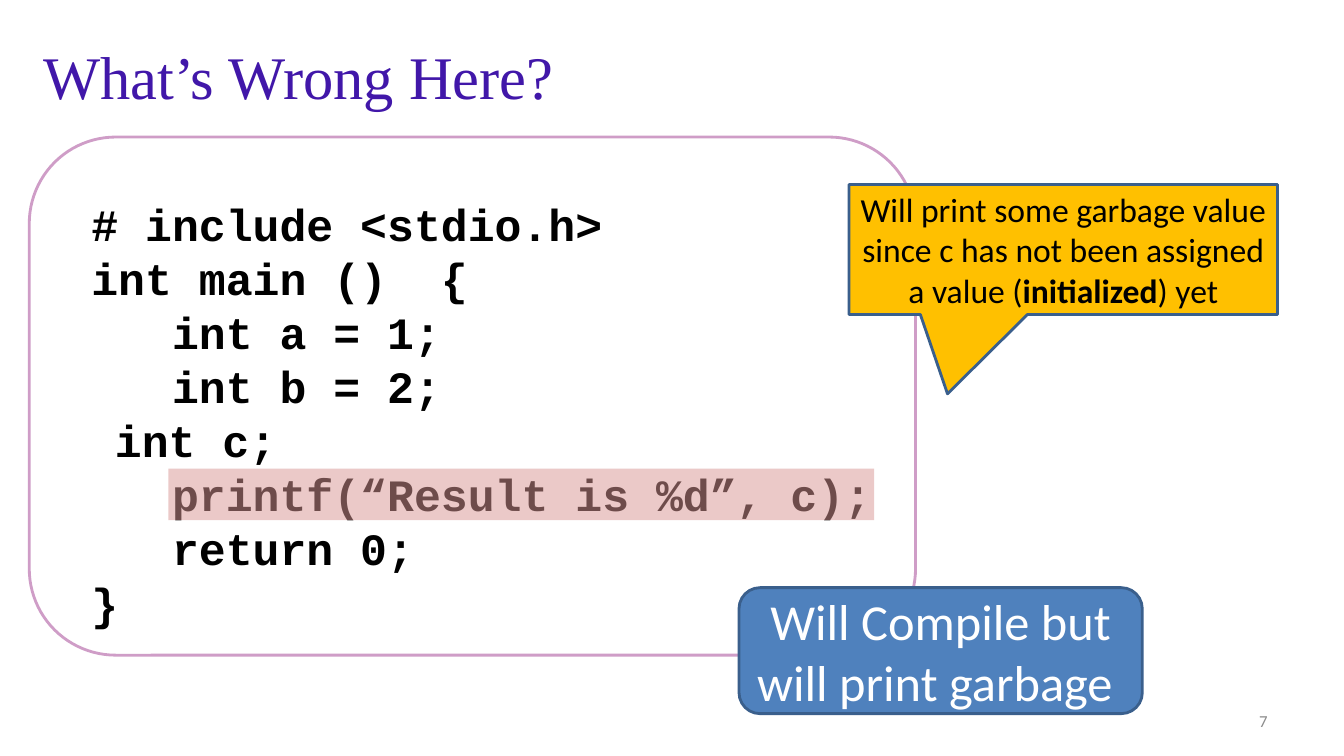
from pptx import Presentation
from pptx.dml.color import RGBColor
from pptx.enum.shapes import MSO_SHAPE
from pptx.enum.text import MSO_ANCHOR, PP_ALIGN
from pptx.oxml.ns import qn
from pptx.util import Inches, Pt
from lxml import etree

ROUND = MSO_SHAPE.ROUNDED_RECTANGLE
CALLOUT = MSO_SHAPE.RECTANGULAR_CALLOUT
RECT = MSO_SHAPE.RECTANGLE
LEFT, CENTER, RIGHT = PP_ALIGN.LEFT, PP_ALIGN.CENTER, PP_ALIGN.RIGHT
MIDDLE, TOP = MSO_ANCHOR.MIDDLE, MSO_ANCHOR.TOP

THEME = {
    "title": {"name": "Times New Roman", "size": Pt(43.2), "color": "4117A9"},
    "code": {"name": "Courier New", "size": Pt(32), "color": "000000", "bold": True},
    "note": {"name": "Calibri", "size": Pt(24), "color": "000000"},
    "answer": {"name": "Calibri", "size": Pt(36), "color": "FFFFFF"},
    "number": {"name": "Calibri", "size": Pt(12), "color": "8C8C8C"},
    "paper": "FFFFFF", "frame": "CF9DC7", "amber": "FFC000",
    "blue": "4F81BD", "edge": "3A5F8C", "mark": "D99694",
}


def add_box(kind, at, fill=None, line=None):
    """Add a preset shape, or a text box when kind is None."""
    place = [Inches(n) for n in at]
    if kind is None:
        return slide.shapes.add_textbox(*place)
    box = slide.shapes.add_shape(kind, *place)
    box.shadow.inherit = False
    box.fill.solid()
    box.fill.fore_color.rgb = RGBColor.from_string(THEME[fill])
    if line:
        box.line.color.rgb = RGBColor.from_string(THEME[line])
        box.line.width = Pt(2)
    else:
        box.line.fill.background()
    return box


def write(box, style, lines, align=LEFT, anchor=MIDDLE):
    """Fill a box with lines; every second part of a line is bold."""
    frame = box.text_frame
    frame.word_wrap = True
    frame.vertical_anchor = anchor
    for i, parts in enumerate(lines):
        para = frame.paragraphs[0] if i == 0 else frame.add_paragraph()
        para.alignment = align
        for j, text in enumerate(parts):
            run = para.add_run()
            run.text = text
            for key, value in THEME[style].items():
                if key == "color":
                    run.font.color.rgb = RGBColor.from_string(value)
                else:
                    setattr(run.font, key, value)
            if j % 2:
                run.font.bold = True


deck = Presentation()
deck.slide_width, deck.slide_height = Inches(13.33), Inches(7.5)
slide = deck.slides.add_slide(deck.slide_layouts[6])

# Title
title = add_box(None, (0.33, 0.33, 12, 0.83))
write(title, "title", [["What’s Wrong Here?"]])

# Code panel
CODE = [
    " # include <stdio.h>",
    " int main ()  {",
    "    int a = 1;",
    "    int b = 2;",
    "\tint c;",
    "    printf(“Result is %d”, c);",
    "    return 0;",
    " }",
]
panel = add_box(ROUND, (0.29, 1.36, 8.79, 5.14), "paper", "frame")
write(panel, "code", [[row] for row in CODE], anchor=TOP)
panel.text_frame.margin_top = Inches(0.34)
for para in panel.text_frame.paragraphs:
    para.line_spacing = Pt(38.6)

# Callout about the printed value
note = add_box(CALLOUT, (8.42, 1.83, 4.25, 1.29), "amber", "edge")
note.adjustments[0], note.adjustments[1] = -0.27, 1.11
write(note, "note", [[
    "Will print some garbage value since c has not been assigned a value (",
    "initialized", ") yet"]], CENTER)

# See-through mark over the printf line
mark = add_box(RECT, (1.67, 4.65, 7, 0.51), "mark")
tint = mark.fill._xPr.find(qn("a:solidFill"))[0]
etree.SubElement(tint, qn("a:alpha"), val="51000")

# Answer
answer = add_box(ROUND, (7.33, 5.83, 4, 1.25), "blue", "edge")
write(answer, "answer", [["Will Compile but will print garbage "]], CENTER)

# Slide number
number = add_box(None, (9.56, 6.95, 3.11, 0.4))
write(number, "number", [["7"]], RIGHT)

deck.save("out.pptx")
